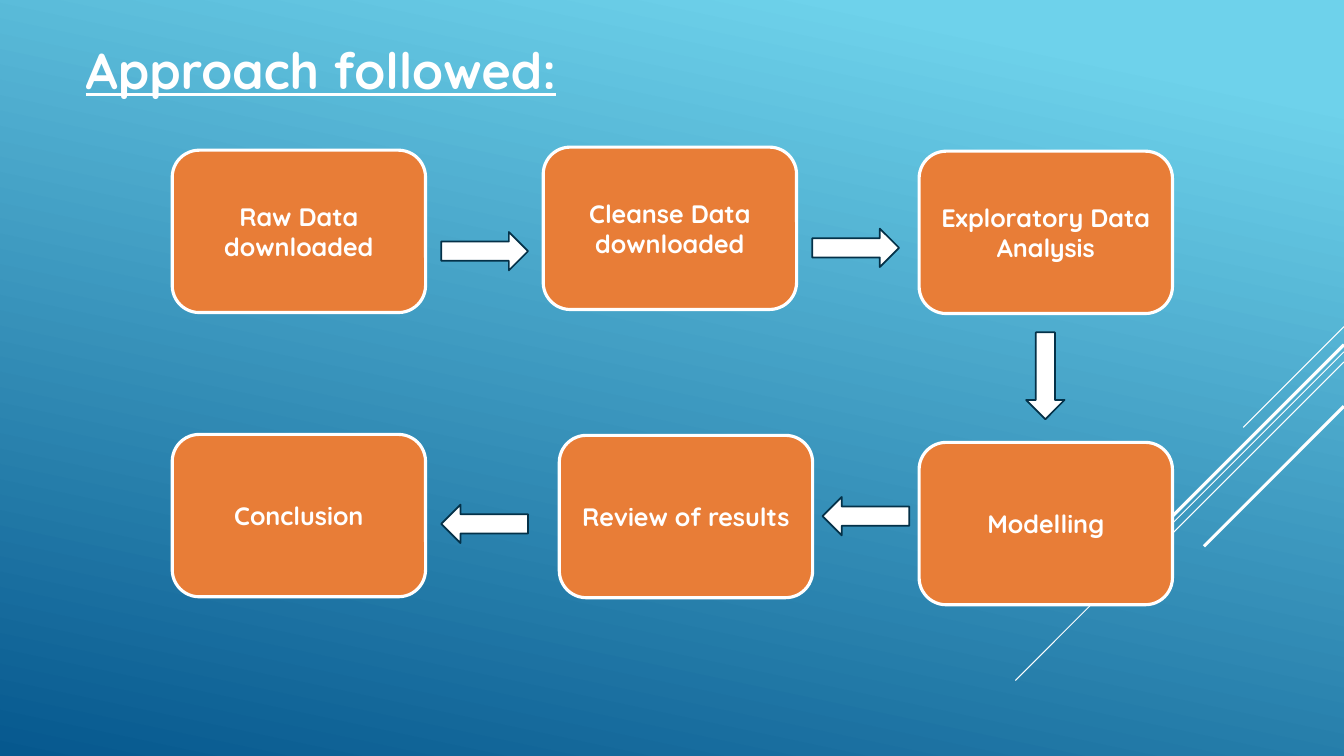
import pptx
import pptx.dml.color
import pptx.enum.shapes
import pptx.enum.text
import pptx.oxml
import pptx.util

Pt = pptx.util.Pt
RGB = pptx.dml.color.RGBColor.from_string
Kind = pptx.enum.shapes.MSO_SHAPE
Align = pptx.enum.text.PP_ALIGN
Anchor = pptx.enum.text.MSO_ANCHOR


class Theme:
    sky = RGB("6ED2EB")
    deep = RGB("06588E")
    white = RGB("FFFFFF")
    orange = RGB("E87D37")
    navy = RGB("043148")
    font = "Quicksand"
    head = Pt(36)
    body = Pt(18)


def write(frame, text, size, align, anchor):
    frame.word_wrap = True
    frame.vertical_anchor = anchor
    para = frame.paragraphs[0]
    para.alignment = align
    run = para.add_run()
    run.text = text
    run.font.name = Theme.font
    run.font.size = size
    run.font.bold = True
    run.font.color.rgb = Theme.white
    return run


def draw(kind, left, top, width, height, fill, edge, weight):
    shape = slide.shapes.add_shape(kind, Pt(left), Pt(top), Pt(width), Pt(height))
    shape.shadow.inherit = False
    shape.fill.solid()
    shape.fill.fore_color.rgb = fill
    shape.line.color.rgb = edge
    shape.line.width = Pt(weight)
    return shape


# Slide
wide, high = 960, 540
deck = pptx.Presentation()
deck.slide_width, deck.slide_height = Pt(wide), Pt(high)
slide = deck.slides.add_slide(deck.slide_layouts[5])

# Background
back = slide.background.fill
back.gradient()
back.gradient_angle = 360 - 102
stops = [(0.1, Theme.sky), (1, Theme.deep)]
for stop, (place, color) in zip(back.gradient_stops, stops):
    stop.position = place
    stop.color.rgb = color

# Title
title = slide.shapes.title
title.left, title.top, title.width, title.height = Pt(54), Pt(24.5), Pt(906), Pt(487.5)
run = write(title.text_frame, "Approach followed:", Theme.head, Align.LEFT, Anchor.TOP)
run.font.underline = True
title.text_frame.auto_size = pptx.enum.text.MSO_AUTO_SIZE.NONE

# Diagonal lines at 45 degrees from the right edge: start height, run, weight
rays = [
    (233.3, 72, 0.75),
    (251.3, 234.7, 0.75),
    (258.5, 149, 0.75),
    (246.2, 137.5, 2.25),
    (290.2, 100, 2.25),
]
for top, reach, weight in rays:
    ray = slide.shapes.add_connector(
        pptx.enum.shapes.MSO_CONNECTOR.STRAIGHT,
        Pt(wide), Pt(top), Pt(wide - reach), Pt(top + reach))
    ray.line.color.rgb = Theme.white
    ray.line.width = Pt(weight)
    ray._element.spPr.append(pptx.oxml.parse_xml(
        '<a:effectLst xmlns:a="http://schemas.openxmlformats.org/drawingml/2006/main"/>'))

# Steps in order of flow
steps = [
    ("Raw Data downloaded", 123, 107.3),
    ("Cleanse Data downloaded", 388, 105.1),
    ("Exploratory Data Analysis", 656.5, 108),
    ("Modelling", 656.5, 316),
    ("Review of results", 399.5, 311),
    ("Conclusion", 123, 310.3),
]
for text, left, top in steps:
    box = draw(Kind.ROUNDED_RECTANGLE, left, top, 181, 116, Theme.orange, Theme.white, 2.25)
    write(box.text_frame, text, Theme.body, Align.CENTER, Anchor.MIDDLE)

# Arrows between the steps: left, top, turn
arrows = [
    (315.2, 165.7, 0),
    (580.2, 163.3, 0),
    (715.7, 254.7, 90),
    (587.5, 355, 180),
    (315.2, 360.5, 180),
]
for left, top, turn in arrows:
    arrow = draw(Kind.RIGHT_ARROW, left, top, 62, 27.4, Theme.white, Theme.navy, 1.25)
    arrow.rotation = turn

deck.save("out.pptx")
